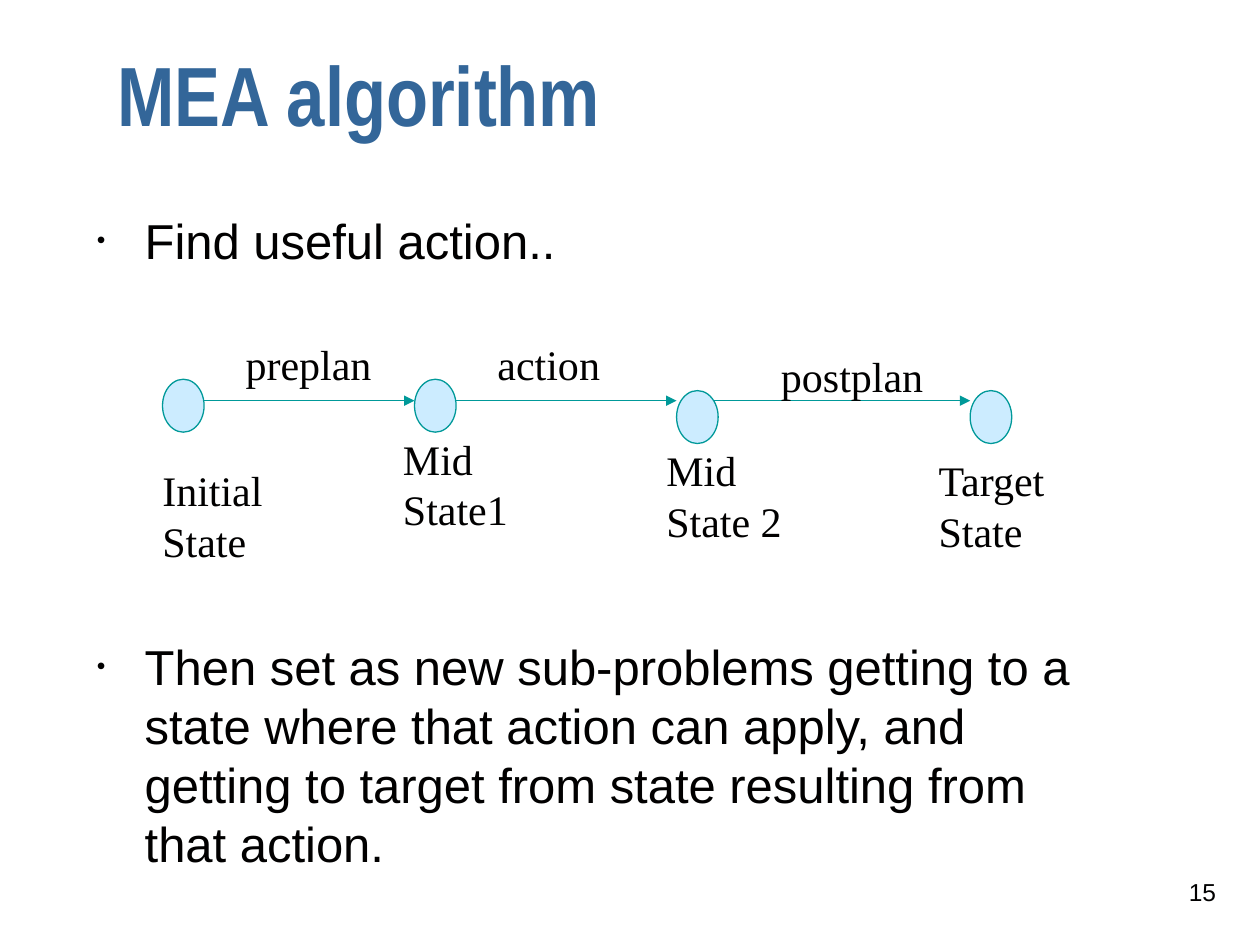
from dataclasses import dataclass

from lxml import etree
from pptx import Presentation
from pptx.dml.color import RGBColor
from pptx.enum.shapes import MSO_CONNECTOR, MSO_SHAPE
from pptx.enum.text import MSO_ANCHOR, MSO_AUTO_SIZE, PP_ALIGN
from pptx.oxml.ns import qn
from pptx.util import Inches, Pt

LINE = MSO_CONNECTOR.STRAIGHT
NODE = MSO_SHAPE.FLOWCHART_CONNECTOR
TOP, MIDDLE = MSO_ANCHOR.TOP, MSO_ANCHOR.MIDDLE
FIXED, GROW = MSO_AUTO_SIZE.NONE, MSO_AUTO_SIZE.SHAPE_TO_FIT_TEXT
LEFT, RIGHT = PP_ALIGN.LEFT, PP_ALIGN.RIGHT
COLORS = {"title": "336699", "text": "010000", "edge": "009999", "node": "CCECFF"}
NODE_W, NODE_H = 0.33, 0.42
ARROW_Y = 3.18


@dataclass
class Label:
    text: str
    left: float
    top: float
    width: float
    height: float


@dataclass
class State:
    left: float
    top: float
    label: Label


@dataclass
class Step:
    start: float
    end: float
    label: Label


STATES = [
    State(1.29, 3.01, Label("Initial\nState", 1.19, 3.64, 1.08, 0.9)),
    State(3.29, 3.01, Label("Mid\nState1", 3.1, 3.39, 1.04, 0.9)),
    State(5.37, 3.1, Label("Mid\nState 2", 5.19, 3.48, 1.13, 0.9)),
    State(7.7, 3.1, Label("Target\nState", 7.35, 3.56, 1.08, 0.9)),
]
STEPS = [
    Step(1.37, 3.29, Label("preplan", 1.85, 2.64, 1.21, 0.5)),
    Step(3.37, 5.37, Label("action", 3.85, 2.64, 1.03, 0.5)),
    Step(5.54, 7.7, Label("postplan", 6.1, 2.73, 1.34, 0.5)),
]
POINTS = (
    "Find useful action..\n"
    "Then set as new sub-problems getting to a state where that action can apply, "
    "and getting to target from state resulting from that action."
)


def color(name: str) -> RGBColor:
    return RGBColor.from_string(COLORS[name])


def add_bullet(para) -> None:
    props = para._p.get_or_add_pPr()
    props.set("marL", str(Inches(0.38)))
    props.set("indent", str(-Inches(0.38)))
    tint = etree.SubElement(props, qn("a:buClr"))
    etree.SubElement(tint, qn("a:srgbClr"), val=COLORS["text"])
    etree.SubElement(props, qn("a:buSzPct"), val="50000")
    etree.SubElement(props, qn("a:buFont"), typeface="Arial")
    etree.SubElement(props, qn("a:buChar"), char="•")


def write(shape, text: str, *, size: float, font: str, tint: str = "text",
          bold: bool = False, align=LEFT, anchor=TOP, wrap: bool = True,
          fit=FIXED, bullet: bool = False, gap: float = 0,
          spacing: float | None = None) -> None:
    frame = shape.text_frame
    frame.word_wrap = wrap
    frame.auto_size = fit
    frame.vertical_anchor = anchor
    for i, line in enumerate(text.split("\n")):
        para = frame.add_paragraph() if i else frame.paragraphs[0]
        if bullet:
            add_bullet(para)
        para.alignment = align
        para.line_spacing = spacing
        para.space_before = Pt(gap if i else 0)
        run = para.add_run()
        run.text = line
        run.font.size = Pt(size)
        run.font.name = font
        run.font.bold = bold
        run.font.color.rgb = color(tint)


def add_box(slide, left: float, top: float, width: float, height: float):
    return slide.shapes.add_textbox(
        Inches(left), Inches(top), Inches(width), Inches(height))


def add_label(slide, label: Label) -> None:
    box = add_box(slide, label.left, label.top, label.width, label.height)
    write(box, label.text, size=24, font="Times New Roman", wrap=False, fit=GROW)


def add_arrow(slide, step: Step) -> None:
    arrow = slide.shapes.add_connector(
        LINE, Inches(step.start), Inches(ARROW_Y), Inches(step.end), Inches(ARROW_Y))
    arrow.line.color.rgb = color("edge")
    arrow.line.width = Pt(0.75)
    etree.SubElement(arrow.line._get_or_add_ln(), qn("a:tailEnd"), type="triangle")
    etree.SubElement(arrow._element.spPr, qn("a:effectLst"))


def add_node(slide, state: State) -> None:
    node = slide.shapes.add_shape(
        NODE, Inches(state.left), Inches(state.top), Inches(NODE_W), Inches(NODE_H))
    node.shadow.inherit = False
    node.fill.solid()
    node.fill.fore_color.rgb = color("node")
    node.line.color.rgb = color("edge")
    node.line.width = Pt(0.75)


def main() -> None:
    deck = Presentation()
    deck.slide_width, deck.slide_height = Inches(10), Inches(7.5)
    slide = deck.slides.add_slide(deck.slide_layouts[5])

    title = slide.shapes.title
    title.left, title.top = Inches(0.83), Inches(0.21)
    title.width, title.height = Inches(8.08), Inches(1.25)
    write(title, "MEA algorithm", size=48, font="Arial Narrow", tint="title",
          bold=True, anchor=MIDDLE, spacing=0.7)

    body = add_box(slide, 0.67, 1.62, 8.25, 5.51)
    write(body, POINTS, size=28, font="Arial", bullet=True, gap=210)

    for step in STEPS:
        add_arrow(slide, step)
    for state in STATES:
        add_node(slide, state)
    for item in STATES + STEPS:
        add_label(slide, item.label)

    number = add_box(slide, 7.67, 6.83, 2.08, 0.5)
    write(number, "15", size=14, font="Arial", align=RIGHT, anchor=MIDDLE)
    deck.save("out.pptx")


if __name__ == "__main__":
    main()
